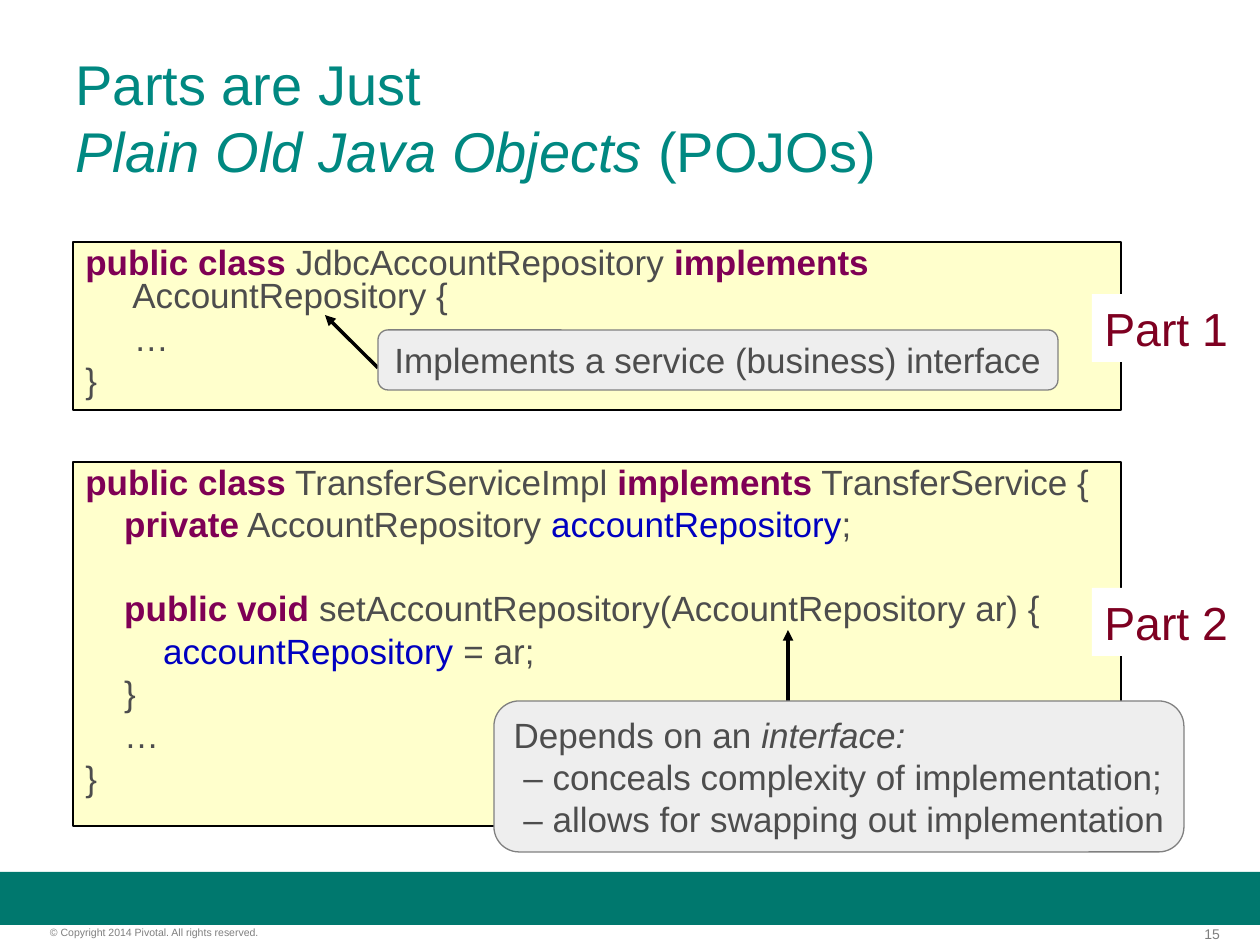
"""Build the slide on plain Java objects."""
import dataclasses

import pptx
import pptx.dml.color
import pptx.enum.shapes
import pptx.enum.text
import pptx.oxml.ns
import pptx.util
from lxml import etree

SCALE = 914400 / 126
KIND = pptx.enum.shapes.MSO_SHAPE
ALIGN = pptx.enum.text.PP_ALIGN
MID = pptx.enum.text.MSO_ANCHOR.MIDDLE
TOP = pptx.enum.text.MSO_ANCHOR.TOP


@dataclasses.dataclass(frozen=True)
class Theme:
    """Colours and type sizes of the slide."""
    font: str = "Arial"
    title: str = "008881"
    text: str = "4D4D4D"
    key: str = "7F0055"
    field: str = "0000C0"
    tag: str = "7E0021"
    note: str = "EEEEEE"
    edge: str = "808080"
    foot: str = "7F7F7F"
    code: str = "FFFFCC"
    bar: str = "00786E"
    white: str = "FFFFFF"
    black: str = "000000"
    head_size: float = 32
    tag_size: float = 26.5
    body_size: float = 20
    page_size: float = 8
    legal_size: float = 6


THEME = Theme()


def px(size):
    """Turn pixels into EMU."""
    return pptx.util.Emu(round(size * SCALE))


def rgb(code):
    """Turn a hex code into a colour."""
    return pptx.dml.color.RGBColor.from_string(code)


def key(text):
    """Give a bold keyword piece."""
    return text, THEME.key, "b"


def field(text):
    """Give a piece that names a field."""
    return text, THEME.field, ""


def write(frame, lines, size, color, align=ALIGN.LEFT):
    """Fill a frame with lines, each a list of pieces."""
    for row, line in enumerate(lines):
        para = frame.add_paragraph() if row else frame.paragraphs[0]
        para.alignment = align
        for part in line:
            text, tint, style = part if isinstance(part, tuple) else (part, color, "")
            if para.runs:
                run = para.add_run()
                run.text = text
            else:
                para.text = text
                run = para.runs[0]
            font = run.font
            font.name, font.size = THEME.font, pptx.util.Pt(size)
            font.bold, font.italic = style == "b", style == "i"
            font.color.rgb = rgb(tint)
        for gap in para._p.findall(pptx.oxml.ns.qn("a:br")):
            etree.SubElement(gap, pptx.oxml.ns.qn("a:rPr"), sz=str(size * 100))


def add_title(slide, lines):
    """Place and format the title."""
    title = slide.shapes.title
    title.left, title.top, title.width, title.height = map(px, (63, 43, 1134, 147))
    frame = title.text_frame
    frame.auto_size = pptx.enum.text.MSO_AUTO_SIZE.NONE
    frame.vertical_anchor = MID
    write(frame, lines, THEME.head_size, THEME.title)


def add_box(slide, box, fill, line=None, width=1, kind=KIND.RECTANGLE):
    """Add a filled shape."""
    shape = slide.shapes.add_shape(kind, *map(px, box))
    shape.shadow.inherit = False
    shape.fill.solid()
    shape.fill.fore_color.rgb = rgb(fill)
    if line:
        shape.line.color.rgb = rgb(line)
        shape.line.width = pptx.util.Pt(width)
    else:
        shape.line.fill.background()
    return shape


def add_code(slide, box, lines, gaps):
    """Add a code panel with the given space before each line."""
    frame = add_box(slide, box, THEME.code, THEME.black).text_frame
    frame.word_wrap, frame.vertical_anchor = True, TOP
    write(frame, lines, THEME.body_size, THEME.text)
    for para, gap in zip(frame.paragraphs, gaps):
        para.line_spacing = 0.8
        para.space_before = pptx.util.Pt(gap)
        props = para._p.get_or_add_pPr()
        props.set("marL", str(px(47)))
        props.set("indent", str(px(-47)))


def add_tag(slide, top, text):
    """Add a label at the right edge of a panel."""
    frame = add_box(slide, (1092, top, 149, 68), THEME.white).text_frame
    frame.word_wrap, frame.vertical_anchor = False, TOP
    write(frame, [[text]], THEME.tag_size, THEME.tag)


def add_note(slide, box, lines, align):
    """Add a rounded callout."""
    shape = add_box(slide, box, THEME.note, THEME.edge, 0, KIND.ROUNDED_RECTANGLE)
    frame = shape.text_frame
    frame.word_wrap, frame.vertical_anchor = False, MID
    write(frame, lines, THEME.body_size, THEME.text, align)


def add_arrow(slide, ends):
    """Add a line with a head at its end."""
    kind = pptx.enum.shapes.MSO_CONNECTOR.STRAIGHT
    arrow = slide.shapes.add_connector(kind, *map(px, ends))
    arrow.line.color.rgb = rgb(THEME.black)
    arrow.line.width = pptx.util.Pt(2)
    qn = pptx.oxml.ns.qn
    etree.SubElement(arrow.line._get_or_add_ln(), qn("a:tailEnd"), type="triangle")
    etree.SubElement(arrow._element.spPr, qn("a:effectLst"))


def add_foot(slide, box, text, size, align):
    """Add a small line of text below the bar."""
    frame = slide.shapes.add_textbox(*map(px, box)).text_frame
    frame.word_wrap = True
    frame.margin_left = frame.margin_right = 0
    frame.margin_top = frame.margin_bottom = 0
    write(frame, [[text]], size, THEME.foot, align)


def main():
    """Build and save the slide."""
    deck = pptx.Presentation()
    deck.slide_width, deck.slide_height = px(1260), px(945)
    slide = deck.slides.add_slide(deck.slide_layouts[5])
    add_box(slide, (0, 872, 1260, 53), THEME.bar)
    add_foot(slide, (1176, 926, 44, 16), "15", THEME.page_size, ALIGN.RIGHT)
    add_foot(slide, (50, 926, 314, 13), "© Copyright 2014 Pivotal. All rights reserved.",
             THEME.legal_size, ALIGN.LEFT)
    add_title(slide, [["Parts are Just\v",
                       ("Plain Old Java Objects", THEME.title, "i"), " (POJOs)"]])
    add_code(slide, (73, 462, 1048, 364), [
        [key("public class"), " TransferServiceImpl ", key("implements"),
         " TransferService {"],
        [key("    private"), " AccountRepository ", field("accountRepository"), ";"],
        [key("    public void"), " setAccountRepository(AccountRepository ar) {"],
        [field("        accountRepository"), " = ar;"],
        ["    }"],
        ["    …"],
        ["}"],
    ], (0, 5, 29, 5, 5, 5, 5))
    add_code(slide, (73, 242, 1048, 168), [
        [key("public class"), " JdbcAccountRepository ", key("implements "),
         "AccountRepository {"],
        ["     …"],
        ["}"],
    ], (0, 5, 5))
    add_tag(slide, 294, "Part 1")
    add_tag(slide, 588, "Part 2")
    add_arrow(slide, (788, 735, 788, 630))
    add_arrow(slide, (378, 368, 325, 315))
    add_note(slide, (378, 330, 680, 60),
             [["Implements a service (business) interface"]], ALIGN.CENTER)
    add_note(slide, (494, 701, 690, 151), [
        ["Depends on an ", ("interface:", THEME.text, "i")],
        [" – conceals complexity of implementation;"],
        [" – allows for swapping out implementation"],
    ], ALIGN.LEFT)
    deck.save("out.pptx")


if __name__ == "__main__":
    main()
